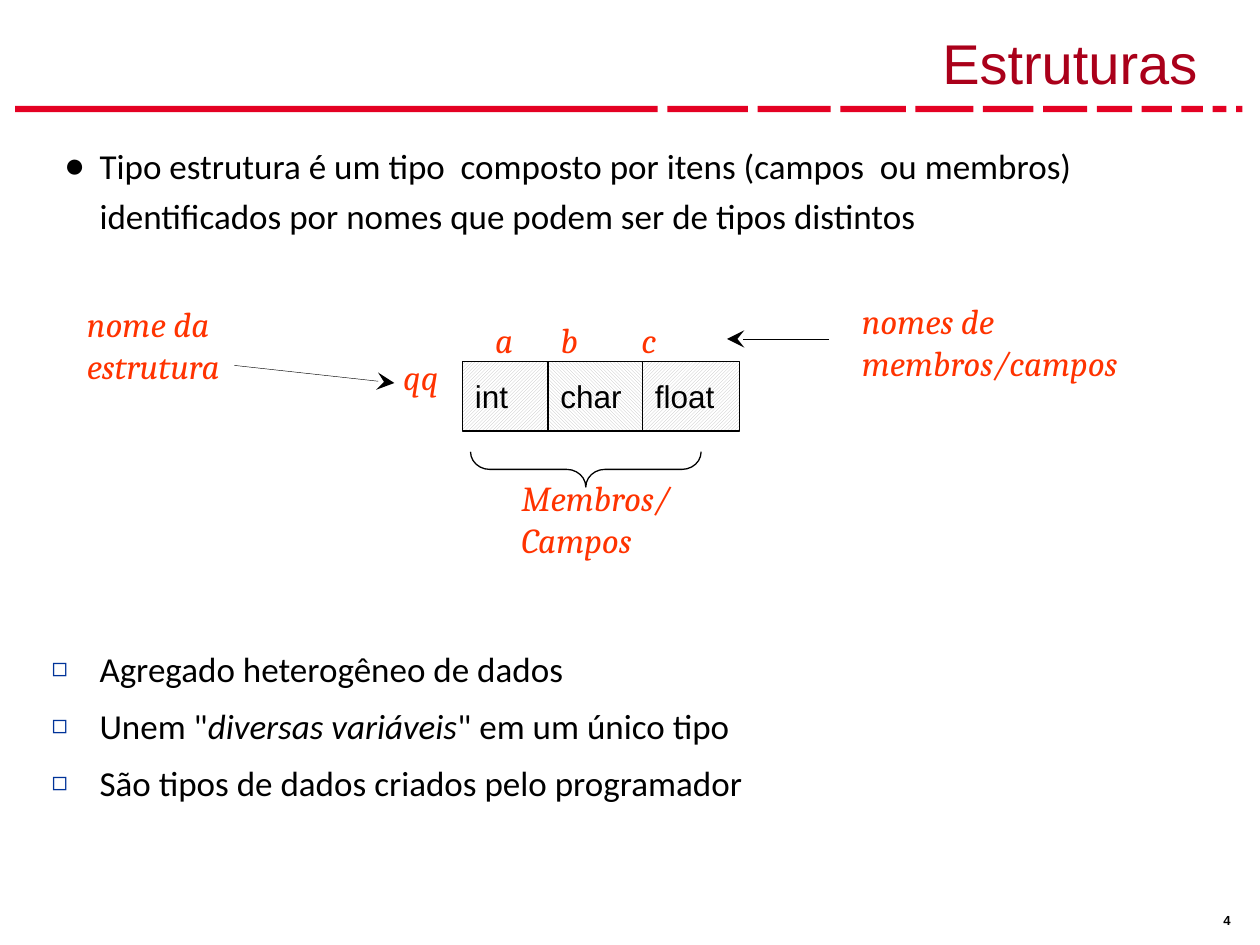
from lxml import etree
from pptx import Presentation
from pptx.dml.color import RGBColor
from pptx.enum.dml import MSO_PATTERN
from pptx.enum.shapes import MSO_CONNECTOR, MSO_SHAPE
from pptx.enum.text import MSO_ANCHOR, MSO_AUTO_SIZE, PP_ALIGN
from pptx.oxml.ns import qn
from pptx.util import Inches, Pt

RED = RGBColor(0xE4, 0x01, 0x23)
DARK_RED = RGBColor(0xAA, 0x00, 0x1A)
ORANGE = RGBColor(0xFF, 0x33, 0x00)
BLACK = RGBColor(0, 0, 0)
WHITE = RGBColor(0xFF, 0xFF, 0xFF)
GRAY = RGBColor(0xC0, 0xC0, 0xC0)
BLUE = RGBColor(0x00, 0x33, 0x99)

UP_DIAGONAL = MSO_PATTERN.DARK_UPWARD_DIAGONAL
DOWN_DIAGONAL = MSO_PATTERN.DARK_DOWNWARD_DIAGONAL
RECTANGLE = MSO_SHAPE.RECTANGLE
LEFT_BRACE = MSO_SHAPE.LEFT_BRACE
STRAIGHT = MSO_CONNECTOR.STRAIGHT
TOP, MIDDLE, BOTTOM = MSO_ANCHOR.TOP, MSO_ANCHOR.MIDDLE, MSO_ANCHOR.BOTTOM
LEFT, RIGHT = PP_ALIGN.LEFT, PP_ALIGN.RIGHT
NO_AUTOFIT = MSO_AUTO_SIZE.NONE

DASH_WIDTHS = (5.1, 0.64, 0.58, 0.52, 0.46, 0.4, 0.35, 0.28, 0.24, 0.17, 0.11, 0.05)


def place(part, left, top, width, height):
    part.left, part.top = Inches(left), Inches(top)
    part.width, part.height = Inches(width), Inches(height)


def format_runs(paragraph, size, font, color, bold=False, italic=False):
    for run in paragraph.runs:
        run.font.size = Pt(size)
        run.font.name = font
        run.font.color.rgb = color
        run.font.bold = bold
        run.font.italic = italic


def set_insets(frame, left, top, right, bottom):
    frame.margin_left, frame.margin_top = Inches(left), Inches(top)
    frame.margin_right, frame.margin_bottom = Inches(right), Inches(bottom)


def add_label(slide, text, box, insets=(0, 0, 0, 0)):
    label = slide.shapes.add_textbox(*map(Inches, box))
    frame = label.text_frame
    frame.word_wrap = True
    set_insets(frame, *insets)
    frame.text = text
    format_runs(frame.paragraphs[0], 20, "Cambria", ORANGE, italic=True)


def add_arrow(slide, start, end):
    arrow = slide.shapes.add_connector(STRAIGHT, *map(Inches, start + end))
    arrow.line.color.rgb = BLACK
    arrow.line.width = Pt(0.25)
    etree.SubElement(arrow.line._get_or_add_ln(), qn("a:tailEnd"),
                     type="stealth", w="lg", len="lg")
    etree.SubElement(arrow._element.spPr, qn("a:effectLst"))


def set_bullet(paragraph, symbol, color, hanging, percent=100):
    properties = paragraph._p.get_or_add_pPr()
    properties.set("marL", str(Inches(0.38)))
    properties.set("indent", str(-Inches(hanging)))
    bullet_color = etree.SubElement(properties, qn("a:buClr"))
    etree.SubElement(bullet_color, qn("a:srgbClr"), val=str(color))
    etree.SubElement(properties, qn("a:buSzPct"), val=str(percent * 1000))
    etree.SubElement(properties, qn("a:buChar"), char=symbol)


def add_dashed_rule(slide, left, top, width, height):
    gap = (width - sum(DASH_WIDTHS)) / (len(DASH_WIDTHS) - 1)
    for dash_width in DASH_WIDTHS:
        dash = slide.shapes.add_shape(
            RECTANGLE, *map(Inches, (left, top, dash_width, height)))
        dash.shadow.inherit = False
        dash.fill.solid()
        dash.fill.fore_color.rgb = RED
        dash.line.fill.background()
        left += dash_width + gap


def add_title(slide, *box):
    title = slide.shapes.title
    place(title, *box)
    frame = title.text_frame
    frame.auto_size = NO_AUTOFIT
    frame.vertical_anchor = BOTTOM
    frame.text = "Estruturas "
    frame.paragraphs[0].alignment = RIGHT
    format_runs(frame.paragraphs[0], 32, "Arial", DARK_RED)


def add_body(slide, *box):
    body = slide.placeholders[1]
    place(body, *box)
    frame = body.text_frame
    frame.auto_size = NO_AUTOFIT
    frame.vertical_anchor = TOP
    frame.text = "\n".join((
        "Tipo estrutura é um tipo  composto por itens (campos  ou membros) "
        "identificados por nomes que podem ser de tipos distintos",
        "Agregado heterogêneo de dados",
        'Unem "',
        "São tipos de dados criados pelo programador",
    ))
    definition, aggregate, union, created = frame.paragraphs
    emphasis = union.add_run()
    emphasis.text = "diversas variáveis"
    union.add_run().text = '" em um único tipo'

    # The second paragraph leaves room for the diagram
    spaces = (3.6, 230, 3.6, 3.6)
    for paragraph, space in zip(frame.paragraphs, spaces):
        paragraph.alignment = LEFT
        paragraph.line_spacing = 1.2
        paragraph.space_before = Pt(space)
        paragraph.space_after = Pt(0)
        format_runs(paragraph, 20, "Calibri", BLACK)
    emphasis.font.italic = True

    set_bullet(definition, "●", BLACK, 0.28)
    for paragraph in (aggregate, union, created):
        set_bullet(paragraph, "◻", BLUE, 0.38, 75)


def add_structure_diagram(slide, left, top):
    # Member cells with their names above
    members = (
        ("a", "int", 3.24, 2.98, 0.68, UP_DIAGONAL),
        ("b", "char", 3.76, 3.66, 0.77, DOWN_DIAGONAL),
        ("c", "float", 4.4, 4.41, 0.77, UP_DIAGONAL),
    )
    for name, kind, name_x, cell_x, cell_width, pattern in members:
        add_label(slide, name, (left + name_x, top + 0.2, 0.2, 0.27))
        cell = slide.shapes.add_shape(
            RECTANGLE, *map(Inches, (left + cell_x, top + 0.54, cell_width, 0.55)))
        cell.shadow.inherit = False
        cell.fill.patterned()
        cell.fill.pattern = pattern
        cell.fill.fore_color.rgb = GRAY
        cell.fill.back_color.rgb = WHITE
        cell.line.color.rgb = BLACK
        cell.line.width = Pt(0.75)
        frame = cell.text_frame
        frame.vertical_anchor = MIDDLE
        frame.text = kind
        frame.paragraphs[0].alignment = LEFT
        format_runs(frame.paragraphs[0], 18, "Arial", BLACK)

    # Structure name and the arrow to it
    add_label(slide, "qq", (left + 2.51, top + 0.49, 0.41, 0.55))
    add_label(slide, "nome da estrutura", (left, top + 0.02, 2.17, 0.68),
              (0, 0.05, 0.1, 0.05))
    add_arrow(slide, (left + 1.17, top + 0.57), (left + 2.44, top + 0.71))

    # Member names and the arrow to them
    add_label(slide, "nomes de membros/campos", (left + 6.15, top, 2.5, 0.68),
              (0, 0.05, 0, 0.05))
    add_arrow(slide, (left + 5.89, top + 0.36), (left + 5.08, top + 0.36))

    # Brace under the cells
    brace = slide.shapes.add_shape(
        LEFT_BRACE, *map(Inches, (left + 3.82, top + 0.48, 0.28, 1.83)))
    brace.rotation = 270
    brace.adjustments[0] = 0.54
    brace.shadow.inherit = False
    brace.fill.background()
    brace.line.color.rgb = BLACK
    brace.line.width = Pt(0.75)
    add_label(slide, "Membros/Campos", (left + 3.35, top + 1.4, 1.6, 0.68),
              (0.1, 0.05, 0.1, 0.05))


def add_page_number(slide, *box):
    number = slide.shapes.add_textbox(*map(Inches, box))
    frame = number.text_frame
    frame.word_wrap = True
    set_insets(frame, 0.08, 0.04, 0.08, 0.04)
    frame.text = "4"
    format_runs(frame.paragraphs[0], 7.5, "Arial", BLACK, bold=True)


def main():
    presentation = Presentation()
    presentation.slide_width = Inches(10)
    presentation.slide_height = Inches(7.5)
    slide = presentation.slides.add_slide(presentation.slide_layouts[1])
    add_dashed_rule(slide, 0.12, 0.84, 9.74, 0.05)
    add_page_number(slide, 9.63, 7.2, 0.33, 0.2)
    add_title(slide, 0.31, 0.08, 9.42, 0.73)
    add_body(slide, 0.31, 1.03, 9.46, 6.03)
    add_structure_diagram(slide, 0.69, 2.33)
    presentation.save("out.pptx")


if __name__ == "__main__":
    main()
